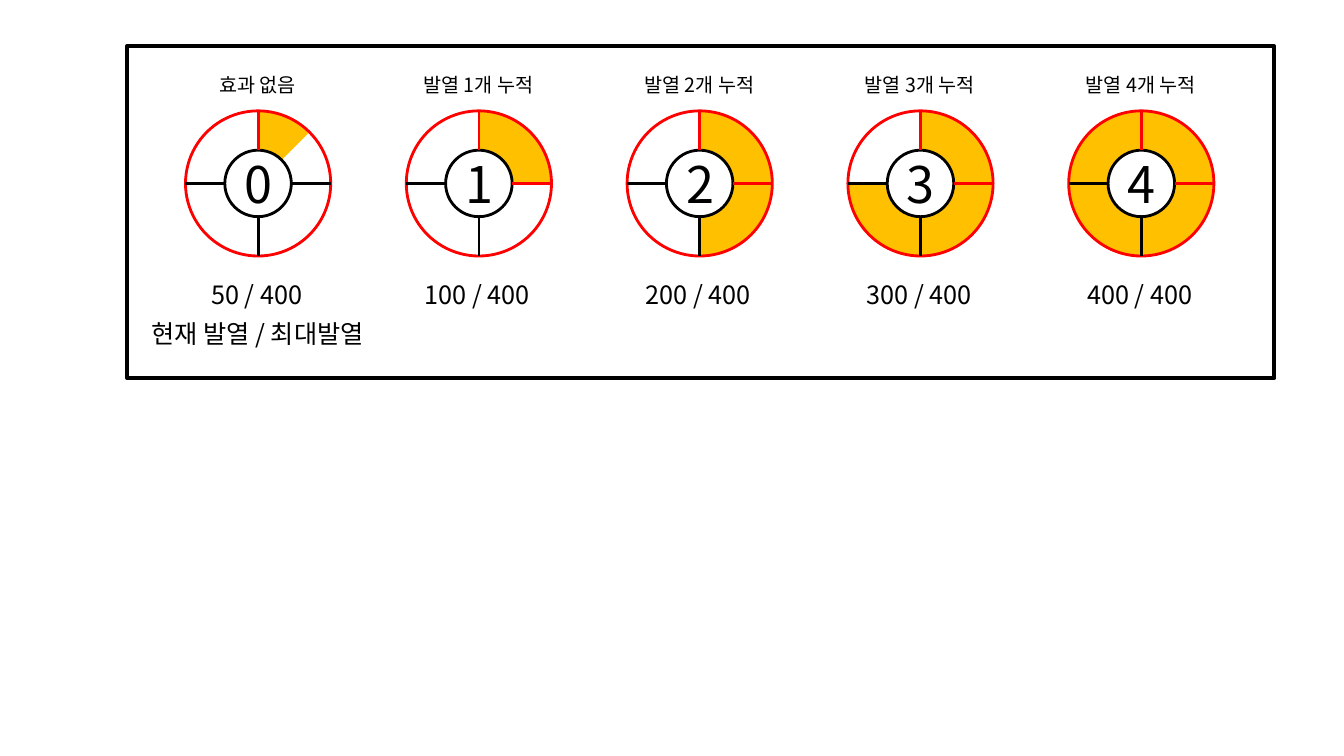
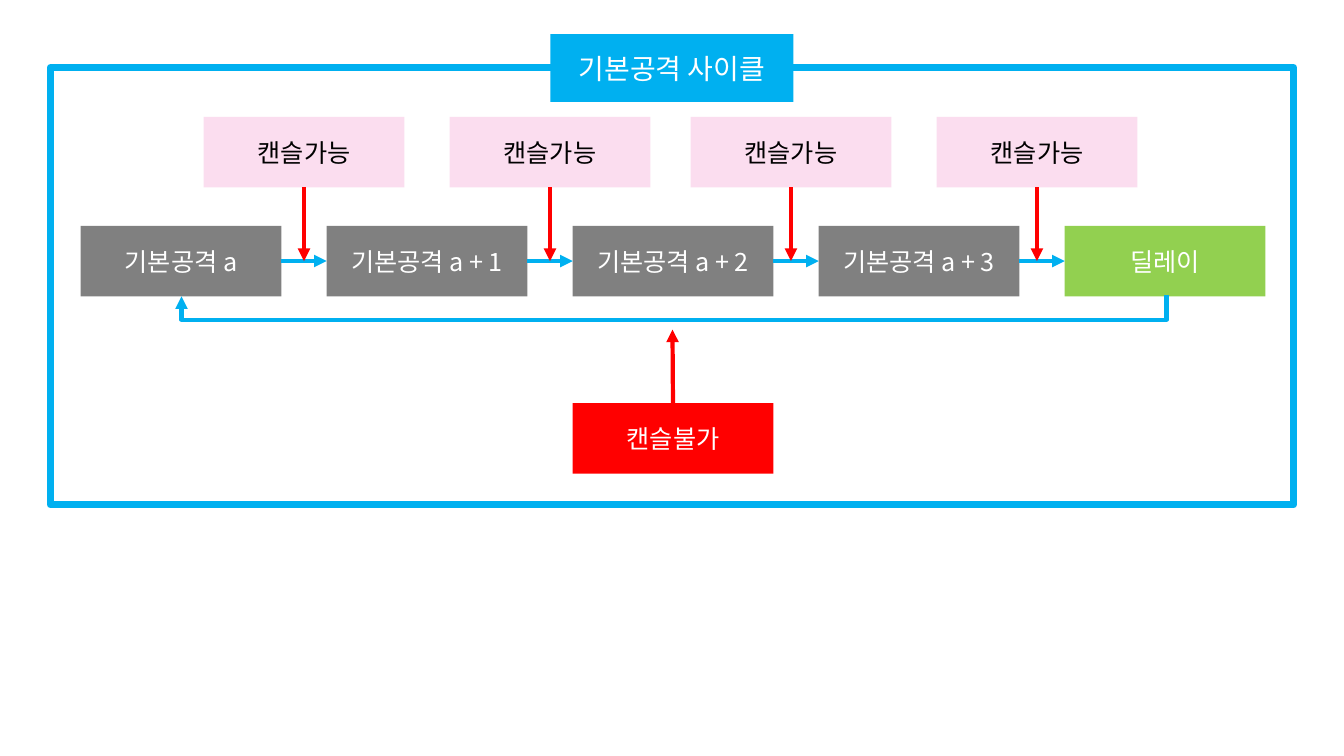
from dataclasses import dataclass
from math import ceil

from lxml.etree import SubElement
from pptx import Presentation
from pptx.dml.color import RGBColor
from pptx.enum.shapes import MSO_CONNECTOR as LINK, MSO_SHAPE as SHAPE
from pptx.enum.text import MSO_ANCHOR, MSO_AUTO_SIZE, PP_ALIGN
from pptx.oxml.ns import qn
from pptx.util import Inches, Pt


@dataclass(frozen=True)
class Theme:
    font: str = "Noto Sans CJK KR"
    black: RGBColor = RGBColor(0, 0, 0)
    white: RGBColor = RGBColor(255, 255, 255)
    red: RGBColor = RGBColor(255, 0, 0)
    heat: RGBColor = RGBColor(0xFF, 0xC0, 0x00)
    cycle: RGBColor = RGBColor(0x00, 0xB0, 0xF0)
    attack: RGBColor = RGBColor(0x80, 0x80, 0x80)
    delay: RGBColor = RGBColor(0x92, 0xD0, 0x50)
    cancel: RGBColor = RGBColor(0xFB, 0xDD, 0xEF)
    caption: int = 14
    body: int = 18
    title: int = 20
    count: int = 36


theme = Theme()


def add_box(slide, kind, box, fill=None, line=None, width=2, text="", size=theme.body, color=theme.black):
    """Add a preset shape, or an unwrapped text box when kind is None; box is in inches."""
    bounds = [Inches(value) for value in box]
    if kind is None:
        shape = slide.shapes.add_textbox(*bounds)
    else:
        shape = slide.shapes.add_shape(kind, *bounds)
        shape.shadow.inherit = False
    for part, paint in ((shape.fill, fill), (shape.line.fill, line)):
        if paint is None:
            part.background()
        else:
            part.solid()
            part.fore_color.rgb = paint
    if line is not None:
        shape.line.width = Pt(width)
    if text:
        frame = shape.text_frame
        frame.word_wrap = kind is not None
        if kind is None:
            frame.auto_size = MSO_AUTO_SIZE.SHAPE_TO_FIT_TEXT
        else:
            frame.vertical_anchor = MSO_ANCHOR.MIDDLE
        paragraph = frame.paragraphs[0]
        paragraph.alignment = PP_ALIGN.CENTER
        run = paragraph.add_run()
        run.text = text
        run.font.color.rgb = color
        for name, value in {"size": Pt(size), "name": theme.font}.items():
            setattr(run.font, name, value)
        SubElement(run.font.element if hasattr(run.font, "element") else run._r.rPr,
                   qn("a:ea"), typeface=theme.font)
    return shape


def add_line(slide, start, end, color, width=2, arrow=False, kind=LINK.STRAIGHT):
    connector = slide.shapes.add_connector(kind, *[Inches(value) for value in (*start, *end)])
    connector.line.color.rgb = color
    connector.line.width = Pt(width)
    properties = connector.element.spPr
    if arrow:
        SubElement(properties.find(qn("a:ln")), qn("a:tailEnd"), type="triangle")
    SubElement(properties, qn("a:effectLst"))
    return connector


deck = Presentation()
deck.slide_width, deck.slide_height = Inches(13.33), Inches(7.5)
blank = deck.slide_layouts[6]

# Heat gauges: each quarter of the ring stands for 100 heat
gauges = deck.slides.add_slide(blank)
first_x, pitch, center_y = 2.56, 2.19, 1.82
ring, hub, band = 0.72, 0.33, 0.71
for stacks, heat in enumerate((50, 100, 200, 300, 400)):
    center_x = first_x + pitch * stacks
    for quarter in range(ceil(heat / 100)):
        start = 270 + 90 * quarter
        sweep = min(90, (heat - 100 * quarter) * 0.9)
        arc = add_box(gauges, SHAPE.BLOCK_ARC,
                      (center_x - band, center_y - band, 2 * band, 2 * band), theme.heat)
        arc.adjustments[0] = start % 360 * 0.6
        arc.adjustments[1] = (start + sweep) % 360 * 0.6
        arc.adjustments[2] = 0.26
    add_box(gauges, SHAPE.OVAL, (center_x - ring, center_y - ring, 2 * ring, 2 * ring), line=theme.red)
    add_box(gauges, SHAPE.OVAL, (center_x - hub, center_y - hub, 2 * hub, 2 * hub),
            theme.white, theme.black, text=str(stacks), size=theme.count)
    right_color = theme.red if stacks else theme.black
    for dx, dy, color in ((-1, 0, theme.black), (0, 1, theme.black),
                          (1, 0, right_color), (0, -1, theme.red)):
        add_line(gauges, (center_x + dx * ring, center_y + dy * ring),
                 (center_x + dx * hub, center_y + dy * hub), color)
    caption = f"발열 {stacks}개 누적" if stacks else "효과 없음"
    add_box(gauges, None, (center_x - 0.72, 0.67, 1.43, 0.34), text=caption, size=theme.caption)
    add_box(gauges, None, (center_x - 0.67, 2.72, 1.31, 0.4), text=f"{heat} / 400")
add_box(gauges, None, (1.26, 3.11, 2.59, 0.4), text="현재 발열 / 최대발열")
add_box(gauges, SHAPE.RECTANGLE, (1.26, 0.46, 11.38, 3.29), line=theme.black, width=3)

# Basic attack cycle
cycle = deck.slides.add_slide(blank)
add_box(cycle, SHAPE.RECTANGLE, (0.5, 0.67, 12.33, 4.34), line=theme.cycle, width=5)
add_box(cycle, SHAPE.RECTANGLE, (5.46, 0.34, 2.41, 0.67), theme.cycle,
        text="기본공격 사이클", size=theme.title, color=theme.white)

step_w, step_h, step_y, step_pitch = 1.99, 0.7, 2.24, 2.44
step_mid = step_y + step_h / 2
steps = []
for index, label in enumerate(("기본공격 a", "기본공격 a + 1", "기본공격 a + 2", "기본공격 a + 3", "딜레이")):
    left = 0.8 + step_pitch * index
    fill = theme.delay if label == "딜레이" else theme.attack
    steps.append(add_box(cycle, SHAPE.RECTANGLE, (left, step_y, step_w, step_h), fill,
                         text=label, color=theme.white))
    if index:
        advance = add_line(cycle, (left - step_pitch + step_w, step_mid), (left, step_mid),
                           theme.cycle, 3, arrow=True)
        advance.begin_connect(steps[-2], 3)
        advance.end_connect(steps[-1], 1)

# The return path is an elbow turned a quarter, so its box is tall and thin
loop_back = add_line(cycle, (11.57, 2.93), (1.8, 2.94), theme.cycle, 3, arrow=True, kind=LINK.ELBOW)
loop_back.begin_connect(steps[-1], 2)
loop_back.end_connect(steps[0], 2)
loop_xfrm = loop_back.element.spPr.find(qn("a:xfrm"))
for flip in ("flipH", "flipV"):
    loop_xfrm.attrib.pop(flip, None)
loop_xfrm.set("rot", str(90 * 60000))
for name, value in {"left": 6.68, "top": -1.95, "width": 0.01, "height": 9.77}.items():
    setattr(loop_back, name, Inches(value))
bend = loop_back.element.spPr.find(qn("a:prstGeom")).get_or_add_avLst()
SubElement(bend, qn("a:gd"), name="adj1", fmla="val 2450000")

for left in (2.02, 4.46, 6.85, 9.29):
    cancel = add_box(cycle, SHAPE.RECTANGLE, (left, 1.16, step_w, step_h), theme.cancel, text="캔슬가능")
    middle = left + step_w / 2
    add_line(cycle, (middle, 1.86), (middle, step_mid), theme.red, 3, arrow=True).begin_connect(cancel, 2)

no_cancel = add_box(cycle, SHAPE.RECTANGLE, (5.68, 4, step_w, step_h), theme.red,
                    text="캔슬불가", color=theme.white)
add_line(cycle, (6.68, 4), (6.67, 3.27), theme.red, 3, arrow=True).begin_connect(no_cancel, 0)

deck.save("out.pptx")
